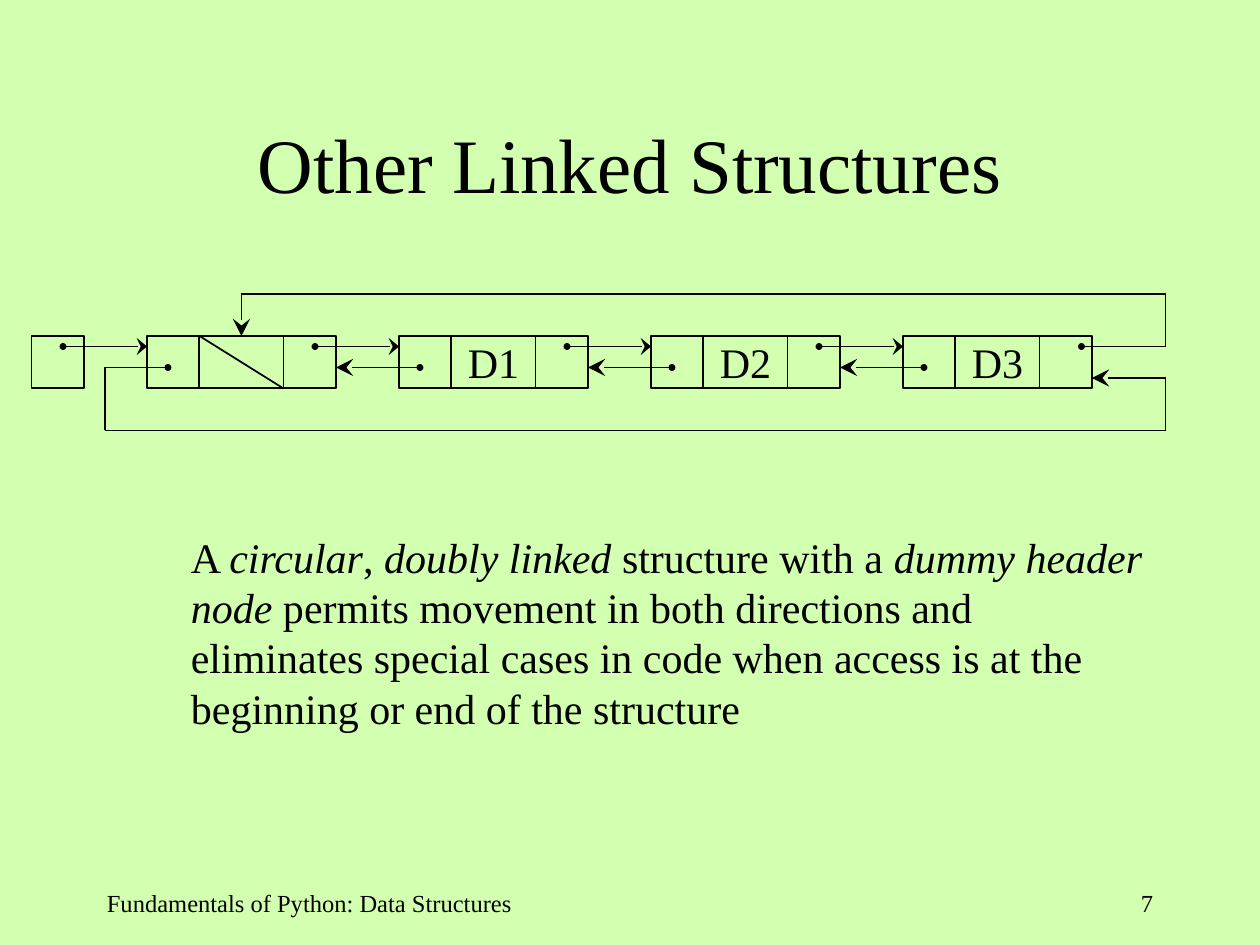
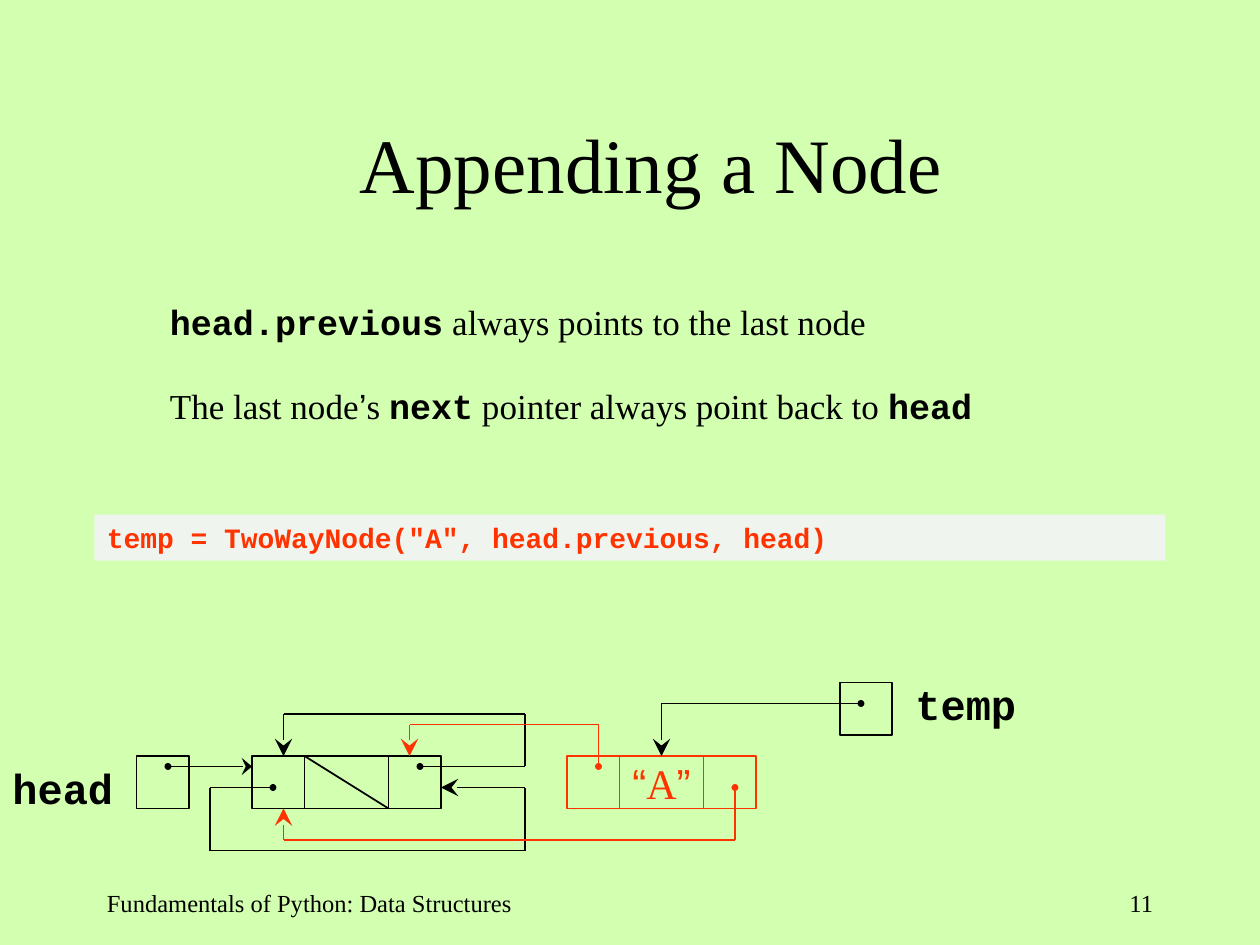
import itertools
from dataclasses import dataclass

import pptx
import pptx.dml.color
import pptx.enum.shapes
import pptx.enum.text
import pptx.oxml
import pptx.util

ALIGN = pptx.enum.text.PP_ALIGN
ANCHOR = pptx.enum.text.MSO_ANCHOR
RGB = pptx.dml.color.RGBColor.from_string


@dataclass(frozen=True)
class Theme:
    background: str = "D2FFB0"
    ink: str = "000000"
    accent: str = "FF3300"
    code_fill: str = "EFF4EF"
    serif: str = "Times New Roman"
    sans: str = "Arial"
    mono: str = "Courier New"
    title: int = 44
    large: int = 24
    notes: int = 20
    code: int = 16
    footer: int = 14
    line: float = 1
    thin: float = 0.75


THEME = Theme()

# Grid: 12 units to the inch, so a slide is 120 by 90 units
COLS, ROWS = 120, 90
CELL, DATA = 5, 8          # square pointer cell, data cell width
NODE = 2 * CELL + DATA
NEXT_Y, PREV_Y = 1, 3      # pointer rows inside a node

ITALIC = {"italic": True}
MONO = {"name": THEME.mono, "bold": True}
SANS = {"name": THEME.sans}


def u(n):
    return pptx.util.Inches(n / 12)


def box(left, top, width, height):
    return u(left), u(top), u(width), u(height)


# Text
def style(font, size, color=THEME.ink, name=THEME.serif, bold=False):
    font.size, font.name, font.bold = pptx.util.Pt(size), name, bold
    font.color.rgb = RGB(color)


def fill_paragraph(p, runs, size, align=ALIGN.LEFT, **font):
    """Write runs: plain strings, or (string, font overrides) pairs."""
    p.alignment = align
    style(p.font, size, **font)
    for run in runs:
        text, overrides = (run, {}) if isinstance(run, str) else run
        r = p.add_run()
        r.text = text
        for key, value in overrides.items():
            setattr(r.font, key, value)


def add_text(slide, area, paragraphs, size, wrap=True, gap=0, **font):
    sp = slide.shapes.add_textbox(*box(*area))
    tf = sp.text_frame
    tf.word_wrap = wrap
    for i, runs in enumerate(paragraphs):
        p = tf.add_paragraph() if i else tf.paragraphs[0]
        if i:
            p.space_before = pptx.util.Pt(gap)
        fill_paragraph(p, runs, size, **font)
    return sp


# Linked structure parts
def add_cell(slide, x, y, width=CELL, color=THEME.ink, label=()):
    sp = slide.shapes.add_shape(pptx.enum.shapes.MSO_SHAPE.RECTANGLE,
                                *box(x, y, width, CELL))
    sp.shadow.inherit = False
    sp.fill.background()
    sp.line.color.rgb = RGB(color)
    sp.line.width = pptx.util.Pt(THEME.line)
    if label:
        tf = sp.text_frame
        tf.word_wrap = False
        tf.vertical_anchor = ANCHOR.MIDDLE
        fill_paragraph(tf.paragraphs[0], label, THEME.large, ALIGN.CENTER, color=color)


def add_line(slide, start, end, color=THEME.ink, width=THEME.line):
    cx = slide.shapes.add_connector(pptx.enum.shapes.MSO_CONNECTOR.STRAIGHT,
                                    *map(u, start + end))
    cx.line.color.rgb = RGB(color)
    cx.line.width = pptx.util.Pt(width)
    pptx.oxml.ns  # namespace helpers are loaded with pptx.oxml
    add_xml(cx.element.spPr, "effectLst")
    return cx


def add_xml(parent, tag, **attributes):
    child = parent.makeelement(pptx.oxml.ns.qn("a:" + tag), attributes)
    parent.append(child)


def add_pointer(slide, *points, color=THEME.ink, width=THEME.line):
    """Route a pointer from a dot at the first point to an arrow at the last."""
    last = len(points) - 2
    for i, (start, end) in enumerate(itertools.pairwise(points)):
        cx = add_line(slide, start, end, color, width if i else THEME.line)
        ln = cx.line._get_or_add_ln()
        if i == 0:
            add_xml(ln, "headEnd", type="oval", w="sm", len="sm")
        if i == last:
            add_xml(ln, "tailEnd", type="stealth", w="lg",
                    len="lg" if i or end[0] < start[0] else "med")


def add_node(slide, x, y, label=(), color=THEME.ink):
    """Draw previous, data and next cells; an empty data cell is struck out."""
    add_cell(slide, x, y, color=color)
    add_cell(slide, x + CELL, y, DATA, color, label)
    add_cell(slide, x + CELL + DATA, y, color=color)
    if not label:
        add_line(slide, (x + CELL, y), (x + CELL + DATA, y + CELL), color)


def add_head(slide, x, y):
    add_cell(slide, x, y)
    add_pointer(slide, (x + 3, y + NEXT_Y), (x + 11, y + NEXT_Y))


# Shared slide frame
def new_slide(prs, title, number, title_width=102):
    slide = prs.slides.add_slide(prs.slide_layouts[5])
    sp = slide.shapes.title
    sp.left, sp.top, sp.width, sp.height = box(9, 8, title_width, 15)
    sp.text_frame.vertical_anchor = ANCHOR.MIDDLE
    fill_paragraph(sp.text_frame.paragraphs[0], [title], THEME.title, ALIGN.CENTER)
    add_text(slide, (9, 84, 43, 6), [["Fundamentals of Python: Data Structures"]],
             THEME.footer)
    add_text(slide, (86, 84, 25, 6), [[str(number)]], THEME.footer, align=ALIGN.RIGHT)
    return slide


def linked_structures_slide(prs):
    slide = new_slide(prs, "Other Linked Structures", 7)
    top, first, step = 32, 14, 24
    next_y, prev_y = top + NEXT_Y, top + PREV_Y
    xs = [first + step * i for i in range(4)]

    # Nodes and the links between neighbours
    add_head(slide, 3, top)
    for x, label in zip(xs, ([], ["D1"], ["D2"], ["D3"])):
        add_node(slide, x, top, label)
    for x, following in itertools.pairwise(xs):
        add_pointer(slide, (x + 16, next_y), (following, next_y))
        add_pointer(slide, (following + 2, prev_y), (x + NODE, prev_y))

    # Links that close the circle
    right, end = 111, xs[-1]
    add_pointer(slide, (end + 17, next_y), (right, next_y), (right, 28),
                (first + 9, 28), (first + 9, top), width=THEME.thin)
    add_pointer(slide, (first + 2, prev_y), (10, prev_y), (10, 41), (right, 41),
                (right, top + 4), (end + NODE, top + 4), width=THEME.thin)

    add_text(slide, (17, 50, 94, 20.4), [[
        "A ", ("circular", ITALIC), ", ", ("doubly linked", ITALIC),
        " structure with a ", ("dummy header node", ITALIC),
        " permits movement in both directions and eliminates special cases in code "
        "when access is at the beginning or end of the structure"]], THEME.large)


def appending_slide(prs):
    slide = new_slide(prs, "Appending a Node", 11, title_width=106)
    add_text(slide, (15, 28, 105, 13.2), [
        [("head.previous", MONO), " always points to the last node"],
        ["The last node", ("’", SANS), "s ", ("next", MONO),
         " pointer always point back to ", ("head", MONO)]], THEME.notes, gap=24)
    code = add_text(slide, (9, 49, 102, 4.4),
                    [['temp = TwoWayNode("A", head.previous, head)']],
                    THEME.code, color=THEME.accent, **MONO)
    code.fill.solid()
    code.fill.fore_color.rgb = RGB(THEME.code_fill)

    top, dummy, new = 72, 24, 54
    next_y, prev_y = top + NEXT_Y, top + PREV_Y

    # Header node pointing to itself both ways
    add_head(slide, 13, top)
    add_node(slide, dummy, top)
    add_pointer(slide, (dummy + 16, next_y), (50, next_y), (50, 68),
                (dummy + 3, 68), (dummy + 3, top))
    add_pointer(slide, (dummy + 2, prev_y), (20, prev_y), (20, 81), (50, 81),
                (50, prev_y), (dummy + NODE, prev_y))

    # New node and its links to the header
    add_node(slide, new, top, [("“", SANS), "A", ("”", SANS)], THEME.accent)
    add_pointer(slide, (new + 3, next_y), (new + 3, 69), (dummy + 15, 69),
                (dummy + 15, top), color=THEME.accent)
    add_pointer(slide, (new + 16, prev_y), (new + 16, 80), (dummy + 3, 80),
                (dummy + 3, top + CELL), color=THEME.accent)

    # Temporary reference and variable names
    add_cell(slide, 80, 65)
    add_pointer(slide, (82, 67), (new + 9, 67), (new + 9, top))
    for name, x, y in (("head", 0, top), ("temp", 86, 64)):
        add_text(slide, (x, y, 12, 6), [[name]], THEME.large, wrap=False, **MONO)


def main():
    prs = pptx.Presentation()
    prs.slide_width, prs.slide_height = u(COLS), u(ROWS)
    fill = prs.slide_master.background.fill
    fill.solid()
    fill.fore_color.rgb = RGB(THEME.background)
    linked_structures_slide(prs)
    appending_slide(prs)
    prs.save("out.pptx")


if __name__ == "__main__":
    main()
